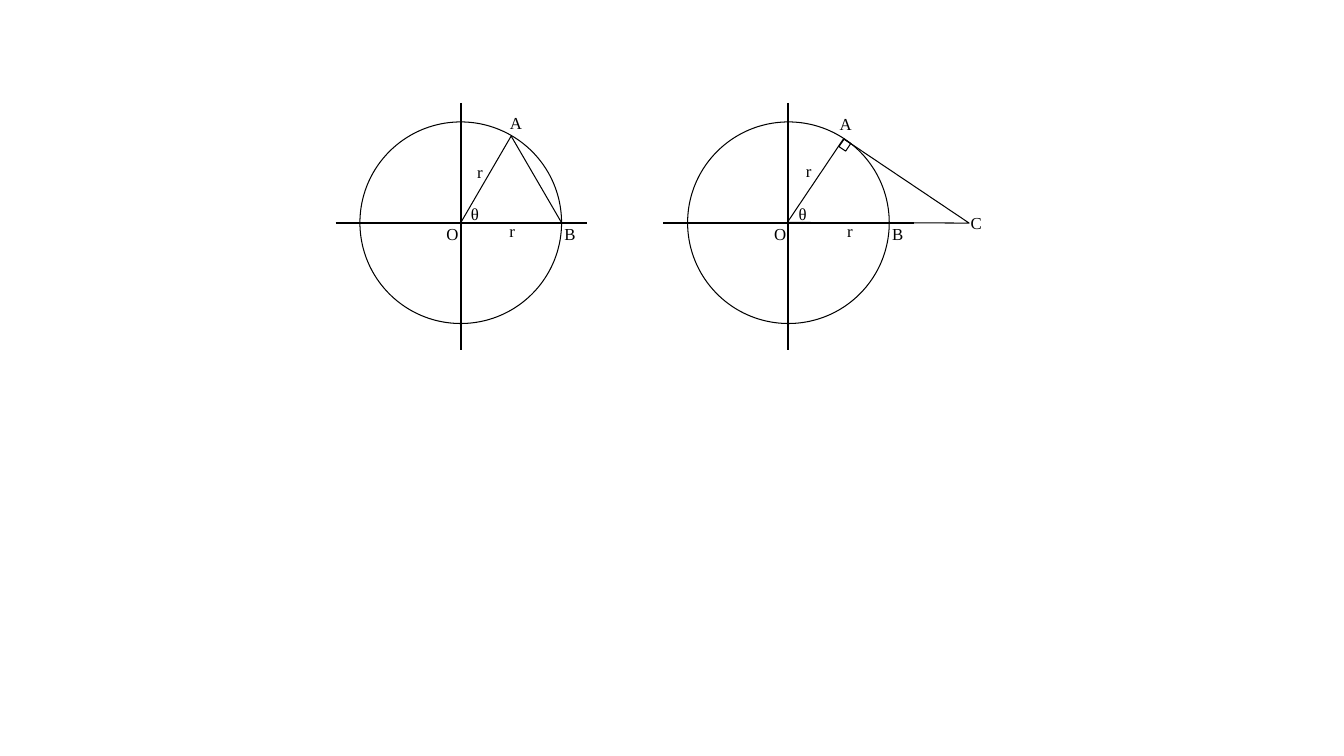
from dataclasses import dataclass

from lxml.etree import SubElement
from pptx import Presentation
from pptx.dml.color import RGBColor
from pptx.enum.shapes import MSO_CONNECTOR, MSO_SHAPE
from pptx.enum.text import MSO_AUTO_SIZE, PP_ALIGN
from pptx.oxml.ns import qn
from pptx.slide import Slide
from pptx.util import Inches, Length, Pt

INK = "000000"
FONT = "Times New Roman"
COLUMN = ROW = Inches(1)  # one grid cell is one circle radius
CENTRE_ROW = 2.21
LABEL_SIDE = 0.3


@dataclass(frozen=True)
class Outline:
    """Unfilled shape, placed by its middle relative to point O."""
    preset: MSO_SHAPE
    x: float
    y: float
    width: float
    height: float
    rotation: float = 0
    mirrored: bool = False


@dataclass(frozen=True)
class Label:
    text: str
    x: float
    y: float


@dataclass(frozen=True)
class Diagram:
    centre_column: float
    outlines: tuple[Outline, ...]
    labels: tuple[Label, ...]


CIRCLE = Outline(MSO_SHAPE.OVAL, 0, 0, 2, 2)
SHARED_LABELS = (Label("θ", 0.14, -0.09), Label("O", -0.09, 0.11), Label("B", 1.08, 0.11))
AXES = (((-1.24, 0), (1.25, 0)), ((0, -1.19), (0, 1.26)))

DIAGRAMS = (
    Diagram(
        4.57,
        (Outline(MSO_SHAPE.ISOSCELES_TRIANGLE, 0.5, -0.43, 1, 0.86),),
        (Label("r", 0.19, -0.5), Label("r", 0.51, 0.08), Label("A", 0.54, -0.99)),
    ),
    Diagram(
        7.82,
        (
            Outline(MSO_SHAPE.RIGHT_TRIANGLE, 0.89, 0, 1.5, 1, 213.9, True),
            Outline(MSO_SHAPE.RECTANGLE, 0.56, -0.77, 0.09, 0.08, 304.1),
        ),
        (Label("r", 0.2, -0.51), Label("r", 0.61, 0.08), Label("A", 0.56, -0.98),
         Label("C", 1.86, 0)),
    ),
)


def colour(code: str) -> RGBColor:
    return RGBColor.from_string(code)


def place(diagram: Diagram, x: float, y: float) -> tuple[Length, Length]:
    """Turn a point relative to O into a point on the page."""
    return (Length(round((diagram.centre_column + x) * COLUMN)),
            Length(round((CENTRE_ROW + y) * ROW)))


def draw_outline(page: Slide, diagram: Diagram, outline: Outline) -> None:
    left, top = place(diagram, outline.x - outline.width / 2, outline.y - outline.height / 2)
    shape = page.shapes.add_shape(
        outline.preset, left, top, round(outline.width * COLUMN), round(outline.height * ROW))
    shape.shadow.inherit = False
    shape.fill.background()
    shape.line.color.rgb = colour(INK)
    shape.line.width = Pt(0.75)
    shape.rotation = outline.rotation
    if outline.mirrored:
        shape.element.spPr.find(qn("a:xfrm")).set("flipH", "1")


def draw_axes(page: Slide, diagram: Diagram) -> None:
    for start, end in AXES:
        axis = page.shapes.add_connector(
            MSO_CONNECTOR.STRAIGHT, *place(diagram, *start), *place(diagram, *end))
        axis.line.color.rgb = colour(INK)
        axis.line.width = Pt(1.5)
        SubElement(axis.element.spPr, qn("a:effectLst"))


def write_text(page: Slide, diagram: Diagram, text: str, *, x: float, y: float,
               size: float = 12, font: str = FONT, ink: str = INK) -> None:
    left, top = place(diagram, x - LABEL_SIDE / 2, y - LABEL_SIDE / 2)
    box = page.shapes.add_textbox(
        left, top, round(LABEL_SIDE * COLUMN), round(LABEL_SIDE * ROW))
    box.text_frame.word_wrap = False
    box.text_frame.auto_size = MSO_AUTO_SIZE.SHAPE_TO_FIT_TEXT
    para = box.text_frame.paragraphs[0]
    para.alignment = PP_ALIGN.CENTER
    span = para.add_run()
    span.text = text
    span.font.name = font
    span.font.size = Pt(size)
    span.font.color.rgb = colour(ink)


def draw_diagram(page: Slide, diagram: Diagram) -> None:
    draw_outline(page, diagram, CIRCLE)
    draw_axes(page, diagram)
    for outline in diagram.outlines:
        draw_outline(page, diagram, outline)
    for label in SHARED_LABELS + diagram.labels:
        write_text(page, diagram, label.text, x=label.x, y=label.y)


def main() -> None:
    deck = Presentation()
    deck.slide_width = Inches(13.33)
    deck.slide_height = Inches(7.5)
    page = deck.slides.add_slide(deck.slide_layouts[6])
    for diagram in DIAGRAMS:
        draw_diagram(page, diagram)
    deck.save("out.pptx")


if __name__ == "__main__":
    main()
